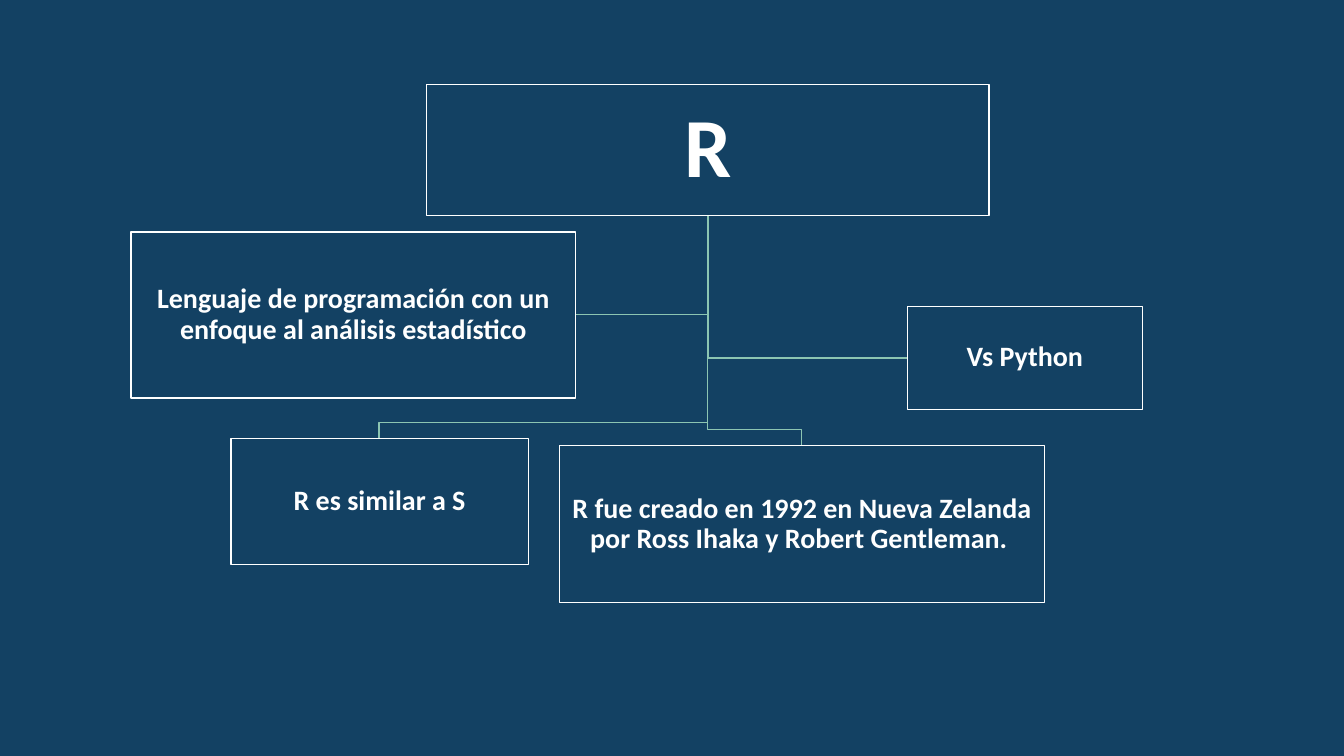
from dataclasses import dataclass

from pptx import Presentation
from pptx.dml.color import RGBColor
from pptx.enum.shapes import MSO_SHAPE
from pptx.enum.text import MSO_ANCHOR, PP_ALIGN
from pptx.shapes.autoshape import Shape
from pptx.slide import Slide
from pptx.util import Emu, Pt

RECTANGLE = MSO_SHAPE.RECTANGLE
MIDDLE = MSO_ANCHOR.MIDDLE
CENTER = PP_ALIGN.CENTER

PX = 9144  # EMU per px, 100 px to the inch
RAIL_GAP = 16  # px between a horizontal rail and the box below it


@dataclass(frozen=True)
class Theme:
    background: RGBColor = RGBColor(0x13, 0x41, 0x63)
    branch: RGBColor = RGBColor(0x8C, 0xC5, 0xB2)
    ink: RGBColor = RGBColor(0xFF, 0xFF, 0xFF)
    font: str = "Calibri"
    root_size: int = 60
    child_size: int = 20
    line_width: int = 1
    line_spacing: float = 0.9


@dataclass(frozen=True)
class Box:
    text: str
    left: int
    top: int
    width: int
    height: int
    size: int
    inset: int = 1

    @property
    def right(self) -> int:
        return self.left + self.width

    @property
    def bottom(self) -> int:
        return self.top + self.height

    @property
    def center_x(self) -> int:
        return self.left + self.width // 2

    @property
    def center_y(self) -> int:
        return self.top + self.height // 2


THEME = Theme()

ROOT = Box("R", 423, 84, 558, 130, THEME.root_size, inset=4)
CREATION = Box(
    "R fue creado en 1992 en Nueva Zelanda por Ross Ihaka y Robert Gentleman. ",
    555, 442, 481, 156, THEME.child_size,
)
SIMILAR = Box("R es similar a S", 229, 435, 295, 125, THEME.child_size)
LANGUAGE = Box(
    "Lenguaje de programación con un enfoque al análisis estadístico",
    130, 230, 441, 165, THEME.child_size,
)
VERSUS = Box("Vs Python", 900, 304, 233, 102, THEME.child_size)


def style_outline(shape: Shape, color: RGBColor) -> None:
    shape.shadow.inherit = False
    shape.fill.background()
    shape.line.color.rgb = color
    shape.line.width = Pt(THEME.line_width)


def branch_points(root: Box, child: Box) -> list[tuple[int, int]]:
    """Route from the root's bottom to the child's near side or its top."""
    trunk = root.center_x
    if child.right < trunk and child.center_y < SIMILAR.top:
        return [(trunk, child.center_y), (child.right, child.center_y)]
    if child.left > trunk:
        return [(trunk, child.center_y), (child.left, child.center_y)]
    rail = child.top - RAIL_GAP
    return [(trunk, rail), (child.center_x, rail), (child.center_x, child.top)]


def draw_branch(page: Slide, root: Box, child: Box) -> None:
    builder = page.shapes.build_freeform(root.center_x, root.bottom, scale=PX)
    builder.add_line_segments(branch_points(root, child), close=False)
    style_outline(builder.convert_to_shape(), THEME.branch)


def draw_box(page: Slide, box: Box) -> None:
    bounds = (Emu(n * PX) for n in (box.left, box.top, box.width, box.height))
    shape = page.shapes.add_shape(RECTANGLE, *bounds)
    style_outline(shape, THEME.ink)

    frame = shape.text_frame
    frame.text = box.text
    frame.word_wrap = True
    frame.vertical_anchor = MIDDLE
    inset = Emu(box.inset * PX)
    frame.margin_left = frame.margin_right = inset
    frame.margin_top = frame.margin_bottom = inset

    para = frame.paragraphs[0]
    para.alignment = CENTER
    para.line_spacing = THEME.line_spacing
    font = para.runs[0].font
    font.name = THEME.font
    font.size = Pt(box.size)
    font.bold = True
    font.color.rgb = THEME.ink


def main() -> None:
    deck = Presentation()
    deck.slide_width = Emu(1333 * PX)
    deck.slide_height = Emu(750 * PX)
    page = deck.slides.add_slide(deck.slide_layouts[6])
    page.background.fill.solid()
    page.background.fill.fore_color.rgb = THEME.background

    # Branches lie behind the boxes
    for child in (VERSUS, LANGUAGE, SIMILAR, CREATION):
        draw_branch(page, ROOT, child)

    # Root and its children
    for box in (ROOT, CREATION, SIMILAR, LANGUAGE, VERSUS):
        draw_box(page, box)

    deck.save("out.pptx")


if __name__ == "__main__":
    main()
